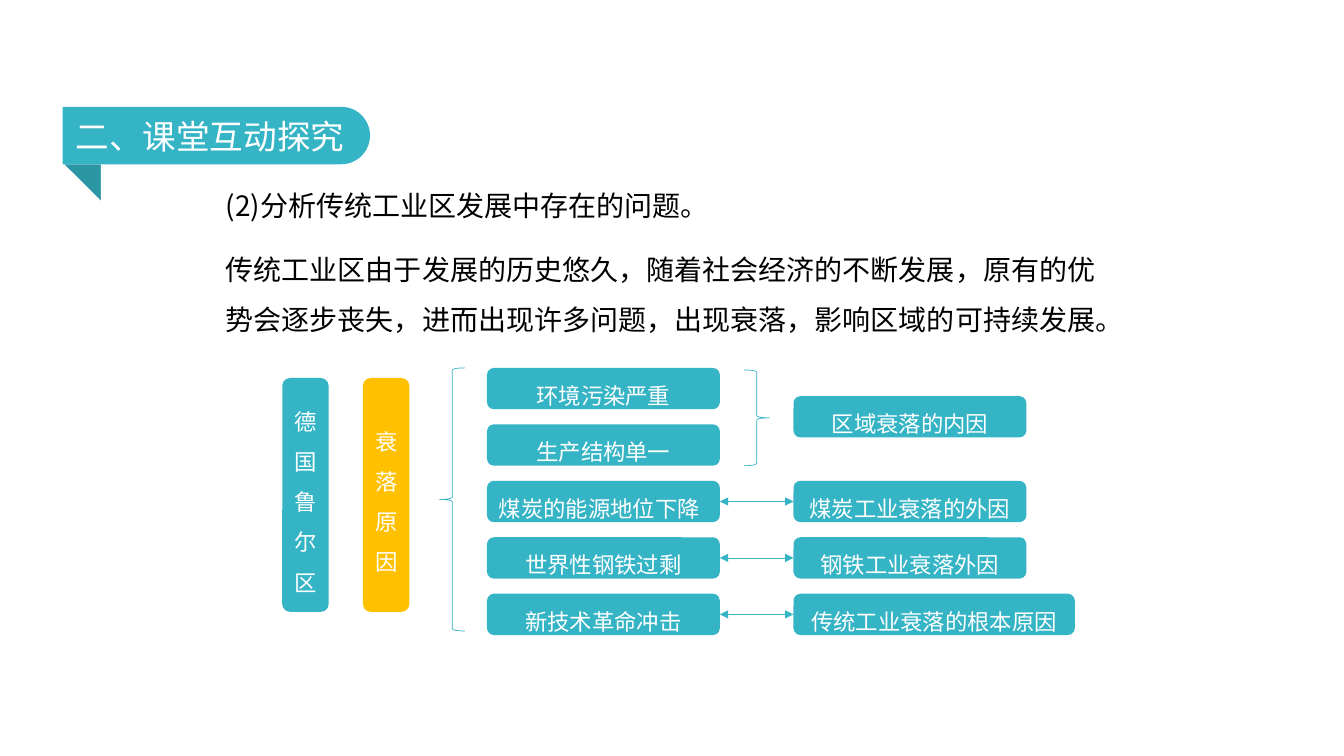
from lxml import etree
from pptx import Presentation
from pptx import util as u
from pptx.dml.color import RGBColor
from pptx.enum import shapes, text
from pptx.oxml.ns import qn

PX = 9144  # EMU per px, 100 px to the inch
FONT = "Noto Sans CJK SC"
COLORS = {"teal": "35B4C6", "dark": "2C96A4", "amber": "FFC000",
          "white": "FFFFFF", "black": "000000"}
MSO = shapes.MSO_SHAPE
ALIGN = text.PP_ALIGN

# Diagram grid
ROW_TOP, ROW_STEP, BOX_W, BOX_H = 365, 56, 231, 41
CAUSE_X, RESULT_X = 483, 787
CAUSES = ["环境污染严重", "生产结构单一", "煤炭的能源地位下降",
          "世界性钢铁过剩", "新技术革命冲击"]
# Row, text and width; row 0.5 lies midway between the first two causes
RESULTS = [(0.5, "区域衰落的内因", BOX_W), (2, "煤炭工业衰落的外因", BOX_W),
           (3, "钢铁工业衰落外因", BOX_W), (4, "传统工业衰落的根本原因", 279)]


def rgb(name):
    return RGBColor.from_string(COLORS[name])


def emu(*lengths):
    return [u.Emu(v * PX) for v in lengths]


def row_y(row):
    return ROW_TOP + int(row * ROW_STEP)


def add_shape(s, kind, x, y, w, h, fill):
    sp = s.shapes.add_shape(kind, *emu(x, y, w, h))
    sp.shadow.inherit = False
    sp.fill.solid()
    sp.fill.fore_color.rgb = rgb(fill)
    sp.line.fill.background()
    return sp


def format_paragraph(p, size, color, align=ALIGN.LEFT, spacing=None):
    p.alignment = align
    if spacing:
        p.line_spacing = spacing
    for r in p.runs:
        r.font.size = u.Pt(size)
        r.font.color.rgb = rgb(color)
        r.font.name = FONT
        etree.SubElement(r.font._element, qn("a:ea"), typeface=FONT)


def add_box(s, x, y, w, h, label, fill="teal", align=ALIGN.CENTER):
    sp = add_shape(s, MSO.ROUNDED_RECTANGLE, x, y, w, h, fill)
    tf = sp.text_frame
    tf.word_wrap = True
    tf.vertical_anchor = text.MSO_ANCHOR.MIDDLE
    tf.text = label
    format_paragraph(tf.paragraphs[0], 16, "white", align, 1.5)
    return sp


def add_text(s, x, y, w, h, lines, size, color, wrap=True, spacing=None, gap=0):
    tf = s.shapes.add_textbox(*emu(x, y, w, h)).text_frame
    tf.word_wrap = wrap
    tf.auto_size = text.MSO_AUTO_SIZE.SHAPE_TO_FIT_TEXT
    tf.text = "\n".join(lines)
    for i, p in enumerate(tf.paragraphs):
        format_paragraph(p, size, color, spacing=spacing)
        if i:
            p.space_before = u.Pt(gap)


def add_brace(s, kind, x, y, w, h):
    sp = s.shapes.add_shape(kind, *emu(x, y, w, h))
    sp.shadow.inherit = False
    sp.fill.background()
    sp.line.color.rgb = rgb("teal")
    sp.line.width = u.Pt(0.5)


def add_double_arrow(s, left, right):
    c = s.shapes.add_connector(shapes.MSO_CONNECTOR.STRAIGHT, 0, 0, 0, 0)
    c.begin_connect(left, 3)
    c.end_connect(right, 1)
    c.line.color.rgb = rgb("teal")
    c.line.width = u.Pt(0.5)
    ln = c.line._get_or_add_ln()
    for end in ("a:headEnd", "a:tailEnd"):
        etree.SubElement(ln, qn(end), type="triangle")
    etree.SubElement(c._element.spPr, qn("a:effectLst"))


def add_banner(s):
    # Folded corner, white panel over its edge, then the ribbon
    fold = add_shape(s, MSO.RIGHT_TRIANGLE, 64, 163, 40, 40, "dark")
    fold.rotation = 180
    panel = add_shape(s, MSO.ROUNDED_RECTANGLE, 100, 65, 1134, 620, "white")
    panel.adjustments[0] = 0.06
    ribbon = add_shape(s, MSO.ROUND_2_SAME_RECTANGLE, 186, -18, 57, 305, "teal")
    ribbon.adjustments[0] = 0.5
    ribbon.adjustments[1] = 0
    ribbon.rotation = 90


def add_diagram(s):
    # Subject and heading, one character to a line
    add_box(s, 280, 375, 46, 232, "德国鲁尔区")
    add_box(s, 360, 375, 46, 232, "衰落原因", "amber")

    # Causes and results
    causes = [add_box(s, CAUSE_X, row_y(i), BOX_W, BOX_H, label,
                      align=ALIGN.LEFT if i == 2 else ALIGN.CENTER)
              for i, label in enumerate(CAUSES)]
    results = {row: add_box(s, RESULT_X, row_y(row), w, BOX_H, label)
               for row, label, w in RESULTS}

    # Braces and arrows
    add_brace(s, MSO.LEFT_BRACE, 436, 365, 25, 261)
    add_brace(s, MSO.RIGHT_BRACE, 738, 367, 25, 95)
    for row in (2, 3, 4):
        add_double_arrow(s, causes[row], results[row])


def main():
    prs = Presentation()
    prs.slide_width, prs.slide_height = emu(1333, 750)
    s = prs.slides.add_slide(prs.slide_layouts[6])
    add_banner(s)
    add_text(s, 214, 165, 906, 170,
             ["(2)分析传统工业区发展中存在的问题。",
              "传统工业区由于发展的历史悠久，随着社会经济的不断发展，原有的优势会"
              "逐步丧失，进而出现许多问题，出现衰落，影响区域的可持续发展。"],
             20, "black", spacing=1.5, gap=10)
    add_text(s, 65, 110, 289, 50, ["二、课堂互动探究"], 24, "white", wrap=False)
    add_diagram(s)
    prs.save("out.pptx")


if __name__ == "__main__":
    main()
